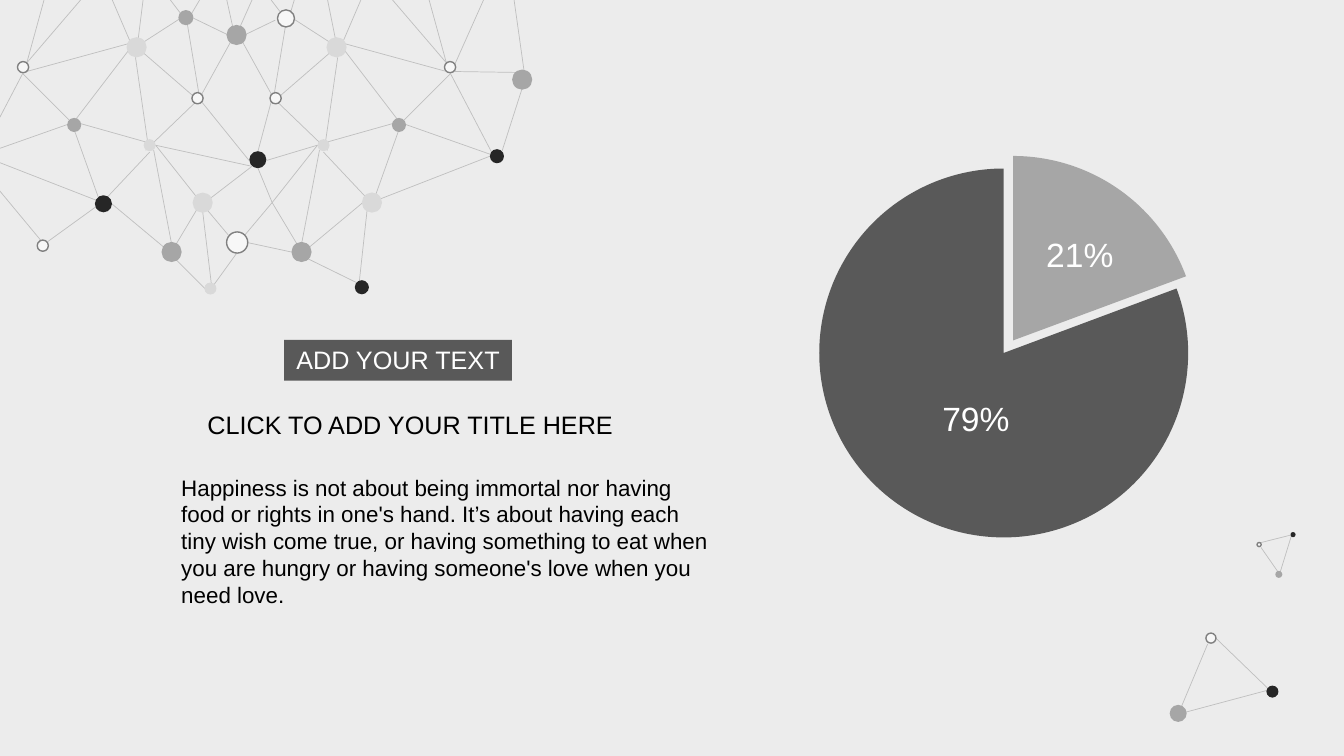
"""Build a slide with a two-part pie, a caption and a decorative node network."""
from dataclasses import dataclass
from typing import NamedTuple

from lxml import etree
from pptx import Presentation
from pptx.dml.color import RGBColor
from pptx.enum.shapes import MSO_CONNECTOR, MSO_SHAPE
from pptx.enum.text import MSO_ANCHOR, MSO_AUTO_SIZE, PP_ALIGN
from pptx.oxml.ns import qn
from pptx.util import Pt

STRAIGHT = MSO_CONNECTOR.STRAIGHT
ELLIPSE, PIE, RECTANGLE = MSO_SHAPE.OVAL, MSO_SHAPE.PIE, MSO_SHAPE.RECTANGLE
LEFT, CENTER = PP_ALIGN.LEFT, PP_ALIGN.CENTER
TOP = MSO_ANCHOR.TOP
GROW = MSO_AUTO_SIZE.SHAPE_TO_FIT_TEXT

FONT = "Arial"
BACKGROUND, LINK_COLOR, OUTLINE = "ECECEC", "BFBFBF", "808080"
BLACK, WHITE, DARK = "000000", "FFFFFF", "595959"
INK, GREY, LIGHT, OPEN = "262626", "A6A6A6", "D9D9D9", "F7F7F7"
MIRROR_SUM = 338


class Link(NamedTuple):
    x1: float
    y1: float
    x2: float
    y2: float

    def mirrored(self) -> "Link":
        return Link(MIRROR_SUM - self.x1, self.y1, MIRROR_SUM - self.x2, self.y2)


class Node(NamedTuple):
    x: float
    y: float
    diameter: float
    color: str

    def mirrored(self) -> "Node":
        return self._replace(x=MIRROR_SUM - self.x)


@dataclass
class Network:
    links: list[Link]
    nodes: list[Node]


@dataclass
class Slice:
    left: float
    top: float
    start: float
    end: float
    rotation: float
    color: str


@dataclass
class Label:
    text: str
    left: float
    top: float
    width: float
    height: float
    size: float
    color: str
    align: PP_ALIGN = LEFT
    fill: str = ""


PIE_SIZE = 263.5
SLICES = [
    Slice(585.2, 120.4, 203.73, 162, 0, DARK),
    Slice(591.9, 111.4, 0, 41.79, 270, GREY),
]

SYMMETRIC_LINKS = [
    Link(262.1, -10.1, 244.8, 30.2), Link(269.3, -13, 321.1, 47.5),
    Link(302.4, -15.1, 319, 45.4), Link(245.5, 31, 319, 51.1),
    Link(199.4, 69.1, 243.4, 31), Link(206.6, 11.5, 241.2, 33.8),
    Link(204.5, 15.1, 195.1, 72), Link(354.2, 114.5, 321.8, 52.6),
    Link(286.6, 87.8, 321.8, 52.6), Link(285.8, 87.8, 243.4, 32.4),
    Link(286.6, 87.8, 352.1, 110.9), Link(234, 107.3, 197.3, 72),
    Link(282.2, 87.8, 231.1, 102.2), Link(241.2, 41, 232.6, 100.8),
    Link(265, 144.7, 231.1, 108.7), Link(266.4, 144.7, 284.4, 94.3),
    Link(349.9, 111.6, 265, 144.7), Link(228.2, 107.3, 214.6, 178.6),
    Link(259.2, 144.7, 216, 180.7), Link(193.7, 67, 171.4, 26.6),
    Link(226.8, 103.7, 194.4, 144.7), Link(213.8, 177.1, 194.4, 144.7),
    Link(194.4, 144.7, 175, 167.8),
]
SINGLE_LINKS = [
    Link(349.9, -10.1, 322.6, 51.1), Link(239.8, 28.8, 234, 0),
    Link(180, 0, 171.4, 19.4), Link(193.7, 0, 203, 12.2),
    Link(210.2, 0, 206.6, 12.2), Link(324.7, 51.1, 373, 51.8),
    Link(358.6, 108, 376.6, 51.8), Link(226.8, 103.7, 190.8, 114.5),
    Link(193.7, 72.7, 184.3, 108), Link(196.6, 14.4, 171.4, 26.6),
    Link(194.4, 144.7, 184.3, 120.2), Link(262.8, 144.7, 256.3, 204.5),
    Link(216, 182.9, 257, 203), Link(208.1, 180, 171.4, 172.1),
    Link(98.6, 28.8, 102.2, 0), Link(162, 0, 166.3, 19.4),
    Link(142.6, 0, 135.4, 12.2), Link(121.7, 0, 131, 12.2),
    Link(-16.6, 116.6, 29.5, 172.1), Link(72.7, 144.7, 33.8, 172.8),
    Link(110.9, 103.7, 180, 118.8), Link(144, 72.7, 177.8, 114.5),
    Link(138.2, 13, 166.3, 26.6), Link(144, 144.7, 151.2, 204.5),
    Link(125.3, 185, 148.3, 208.1), Link(150.5, 206.6, 169.2, 180.7),
    Link(145.4, 145.4, 180, 118.8), Link(365.8, -10.1, 374.4, 51.1),
]
SYMMETRIC_NODES = [
    Node(321.5, 48, 8, OPEN), Node(231.1, 103.7, 8.6, LIGHT),
    Node(196.9, 70.2, 8, OPEN), Node(285, 89.3, 10.1, GREY),
    Node(240.4, 33.8, 14.4, LIGHT), Node(215.4, 180, 14.4, GREY),
]
SINGLE_NODES = [
    Node(373, 56.9, 14.4, GREY), Node(355, 111.6, 10.1, INK),
    Node(258.5, 205.2, 10.1, INK), Node(265.7, 144.7, 14.4, LIGHT),
    Node(169.4, 173.2, 15.1, OPEN), Node(132.8, 12.6, 10.8, GREY),
    Node(30.6, 175.5, 8, OPEN), Node(150.3, 206.1, 8.6, LIGHT),
    Node(73.9, 145.6, 12.2, INK), Node(169, 25, 14.4, GREY),
    Node(204.3, 13.2, 12.2, OPEN), Node(184.2, 114.1, 12.2, INK),
    Node(144.8, 144.8, 14.4, LIGHT),
]
MAIN_NETWORK = Network(
    SYMMETRIC_LINKS + [link.mirrored() for link in SYMMETRIC_LINKS] + SINGLE_LINKS,
    SYMMETRIC_NODES + [node.mirrored() for node in SYMMETRIC_NODES] + SINGLE_NODES,
)
TRIANGLES = [
    Network(
        [Link(842.4, 508.3, 862.6, 460.1), Link(840.2, 510.5, 910.1, 491.8),
         Link(907.9, 493.9, 866.2, 453.6)],
        [Node(908.9, 494, 8.6, INK), Node(841.6, 509.6, 12.2, GREY),
         Node(865, 455.8, 7.2, OPEN)],
    ),
    Network(
        [Link(913.7, 409.7, 900.7, 391), Link(913.7, 411.1, 923, 380.9),
         Link(921.6, 382.3, 898.6, 388.1)],
        [Node(923.6, 381.9, 3.6, INK), Node(913.5, 410.3, 5, GREY),
         Node(899.4, 389, 2.9, OPEN)],
    ),
]

LABELS = [
    Label("21%", 740.2, 163.4, 72.7, 36, 24, WHITE),
    Label("79%", 666, 280.8, 67, 36, 24, WHITE),
    Label("Happiness is not about being immortal nor having food or rights in one's hand. "
          "It’s about having each tiny wish come true, or having something to eat when you "
          "are hungry or having someone's love when you need love.",
          122.4, 334.8, 391, 104.4, 16, BLACK),
    Label("ADD YOUR TEXT", 203, 242.7, 162.7, 29.1, 18, WHITE, CENTER, DARK),
    Label("CLICK TO ADD YOUR TITLE HERE", 141.1, 288.9, 316.8, 29.1, 18, BLACK),
]


def rgb(color: str) -> RGBColor:
    return RGBColor.from_string(color)


def add_filled(shapes, kind, left: float, top: float, width: float, height: float, color: str):
    shape = shapes.add_shape(kind, Pt(left), Pt(top), Pt(width), Pt(height))
    shape.shadow.inherit = False
    shape.fill.solid()
    shape.fill.fore_color.rgb = rgb(color)
    shape.line.fill.background()
    return shape


def draw_slice(shapes, part: Slice) -> None:
    shape = add_filled(shapes, PIE, part.left, part.top, PIE_SIZE, PIE_SIZE, part.color)
    shape.adjustments[0], shape.adjustments[1] = part.start, part.end
    shape.rotation = part.rotation


def draw_network(shapes, network: Network) -> None:
    for link in network.links:
        connector = shapes.add_connector(STRAIGHT, *(Pt(value) for value in link))
        connector.line.color.rgb = rgb(LINK_COLOR)
        connector.line.width = Pt(0.5)
        etree.SubElement(connector._element.spPr, qn("a:effectLst"))
    for node in network.nodes:
        radius = node.diameter / 2
        shape = add_filled(shapes, ELLIPSE, node.x - radius, node.y - radius,
                           node.diameter, node.diameter, node.color)
        if node.color == OPEN:
            shape.line.color.rgb = rgb(OUTLINE)
            shape.line.width = Pt(1)


def draw_label(shapes, label: Label) -> None:
    box = (label.left, label.top, label.width, label.height)
    if label.fill:
        shape = add_filled(shapes, RECTANGLE, *box, label.fill)
    else:
        shape = shapes.add_textbox(*(Pt(value) for value in box))
    frame = shape.text_frame
    frame.word_wrap = True
    frame.auto_size = GROW
    frame.vertical_anchor = TOP
    paragraph = frame.paragraphs[0]
    paragraph.alignment = label.align
    run = paragraph.add_run()
    run.text = label.text
    run.font.name = FONT
    run.font.size = Pt(label.size)
    run.font.color.rgb = rgb(label.color)


def main() -> None:
    presentation = Presentation()
    presentation.slide_width, presentation.slide_height = Pt(960), Pt(540)
    slide = presentation.slides.add_slide(presentation.slide_layouts[6])
    slide.background.fill.solid()
    slide.background.fill.fore_color.rgb = rgb(BACKGROUND)
    for part in SLICES:
        draw_slice(slide.shapes, part)
    draw_network(slide.shapes, MAIN_NETWORK)
    for triangle in TRIANGLES:
        draw_network(slide.shapes.add_group_shape().shapes, triangle)
    for label in LABELS:
        draw_label(slide.shapes, label)
    presentation.save("out.pptx")


if __name__ == "__main__":
    main()
